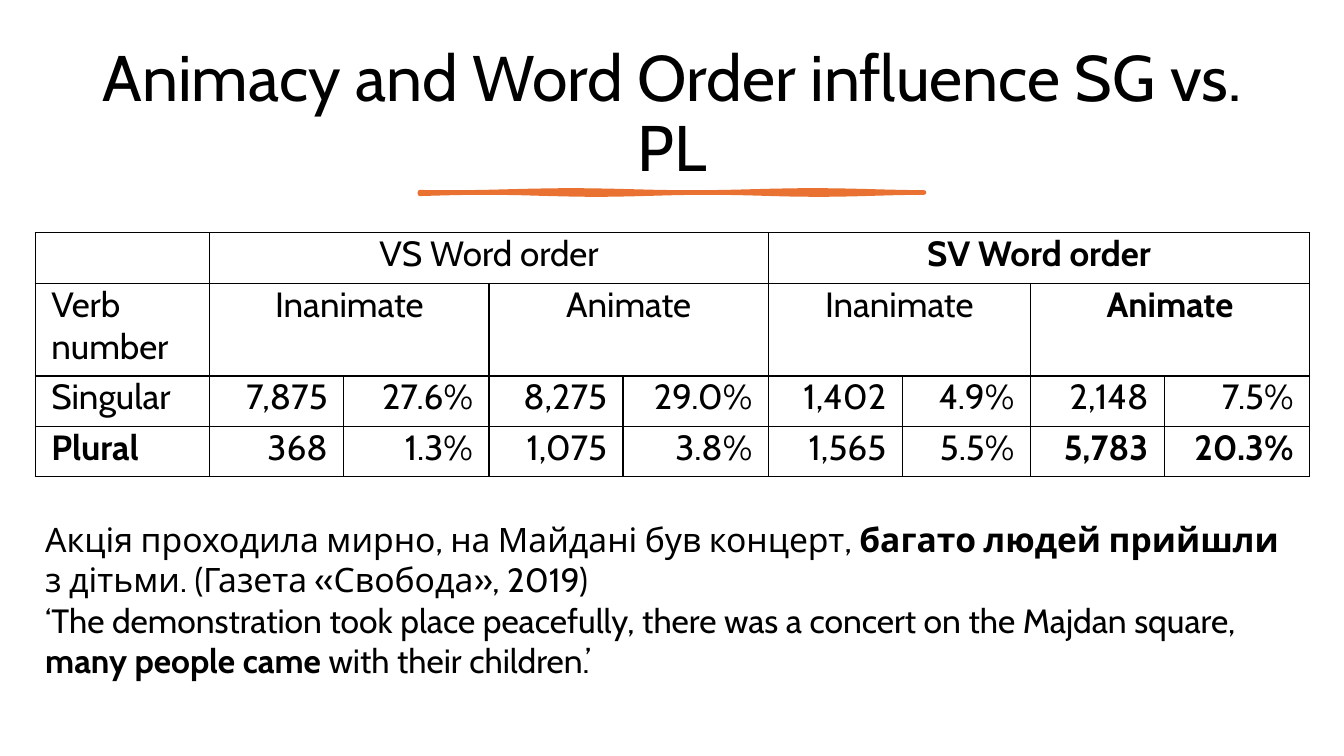
from math import cos, pi

from lxml import etree
from pptx import Presentation
from pptx.dml.color import RGBColor as Rgb
from pptx.enum.text import MSO_ANCHOR as Anchor, PP_ALIGN as Align
from pptx.oxml.ns import qn
from pptx.util import Inches as In, Pt

INK = {"text": "000000", "grid": "000000", "rule": "E97132"}
FONT = "Cabin"
WIDE, HIGH = 13.33, 7.5
LEFT, SPAN = 0.35, 12.63

COLS = [1.73, 1.33, 1.44, 1.33, 1.44, 1.33, 1.27, 1.33, 1.44]
ROWS = [0.5, 0.92, 0.5, 0.5]
# Header cells: row, column, columns spanned, text
HEADS = [
    (0, 1, 4, "VS Word order"), (0, 5, 4, "*SV Word order*"),
    (1, 1, 2, "Inanimate"), (1, 3, 2, "Animate"),
    (1, 5, 2, "Inanimate"), (1, 7, 2, "*Animate*"),
]
COUNTS = [
    ["Singular", "7,875", "27.6%", "8,275", "29.0%", "1,402", "4.9%", "2,148", "7.5%"],
    ["*Plural*", "368", "1.3%", "1,075", "3.8%", "1,565", "5.5%", "*5,783*", "*20.3%*"],
]
QUOTE = [
    "Акція проходила мирно, на Майдані був концерт, *багато людей прийшли*"
    " з дітьми. (Газета «Свобода», 2019)",
    "‘The demonstration took place peacefully, there was a concert on the"
    " Majdan square, *many people came* with their children.’",
]


def write(frame, *lines, size, align=Align.LEFT, lead=1.0):
    """Fill a text frame; words between asterisks are bold."""
    frame.word_wrap = True
    for i, line in enumerate(lines):
        para = frame.add_paragraph() if i else frame.paragraphs[0]
        para.alignment, para.line_spacing = align, lead
        for j, part in enumerate(line.split("*")):
            if part:
                run = para.add_run()
                run.text = part
                font = run.font
                font.name, font.size, font.bold = FONT, Pt(size), j % 2 == 1
                font.color.rgb = Rgb.from_string(INK["text"])


def edge(cell):
    """Draw a thin line on all four sides of a cell."""
    props = cell._tc.get_or_add_tcPr()
    for side in ("a:lnL", "a:lnR", "a:lnT", "a:lnB"):
        line = etree.SubElement(props, qn(side), w=str(Pt(1)))
        fill = etree.SubElement(line, qn("a:solidFill"))
        etree.SubElement(fill, qn("a:srgbClr"), val=INK["grid"])


def title(slide, x, y, w, h):
    frame = slide.shapes.add_textbox(In(x), In(y), In(w), In(h)).text_frame
    frame.vertical_anchor = Anchor.MIDDLE
    write(frame, "Animacy and Word Order influence SG vs. PL",
          size=46, align=Align.CENTER, lead=0.9)


def stroke(slide, x, y, w, h):
    """Hand-drawn underline: a thin band with two gentle swells."""
    steps = 60
    xs = [w * i / steps for i in range(steps + 1)]
    top = [(x + d, y - 0.01 * cos(2 * pi * (d - 1.5) / 2.4)) for d in xs]
    low = [(x + d, y + h + 0.01 * cos(2 * pi * (d - 1.75) / 2.2)) for d in xs]
    dots = [(In(a), In(b)) for a, b in top + low[::-1]]
    path = slide.shapes.build_freeform(*dots[0])
    path.add_line_segments(dots[1:], close=True)
    band = path.convert_to_shape()
    band.shadow.inherit = False
    band.fill.solid()
    band.fill.fore_color.rgb = band.line.color.rgb = Rgb.from_string(INK["rule"])
    band.line.width = Pt(3.25)


def table(slide, x, y, w, h):
    grid = slide.shapes.add_table(len(ROWS), len(COLS), In(x), In(y), In(w), In(h)).table
    grid.first_row = grid.horz_banding = False
    for col, size in zip(grid.columns, COLS):
        col.width = In(size)
    for row, size in zip(grid.rows, ROWS):
        row.height = In(size)
    for cell in grid.iter_cells():
        cell.margin_left = cell.margin_right = In(0.16)
        cell.margin_top = cell.margin_bottom = 0
        edge(cell)
        cell.fill.background()

    # Headers
    for r, c, n, text in HEADS:
        cell = grid.cell(r, c)
        cell.merge(grid.cell(r, c + n - 1))
        write(cell.text_frame, text, size=25, align=Align.CENTER)
    write(grid.cell(1, 0).text_frame, "Verb number", size=25)

    # Counts and shares
    for r, row in enumerate(COUNTS, 2):
        for c, text in enumerate(row):
            write(grid.cell(r, c).text_frame, text, size=25,
                  align=Align.RIGHT if c else Align.LEFT)


def quote(slide, x, y, w, h):
    box = slide.shapes.add_textbox(In(x), In(y), In(w), In(h))
    write(box.text_frame, *QUOTE, size=24)


def main():
    deck = Presentation()
    deck.slide_width, deck.slide_height = In(WIDE), In(HIGH)
    slide = deck.slides.add_slide(deck.slide_layouts[6])
    title(slide, 0.7, 0.46, WIDE - 1.4, 1.37)
    stroke(slide, (WIDE - 5) / 2, 1.9, 5, 0.02)
    table(slide, LEFT, 2.31, SPAN, sum(ROWS))
    quote(slide, LEFT, 5.1, SPAN, 1.72)
    deck.save("out.pptx")


if __name__ == "__main__":
    main()
